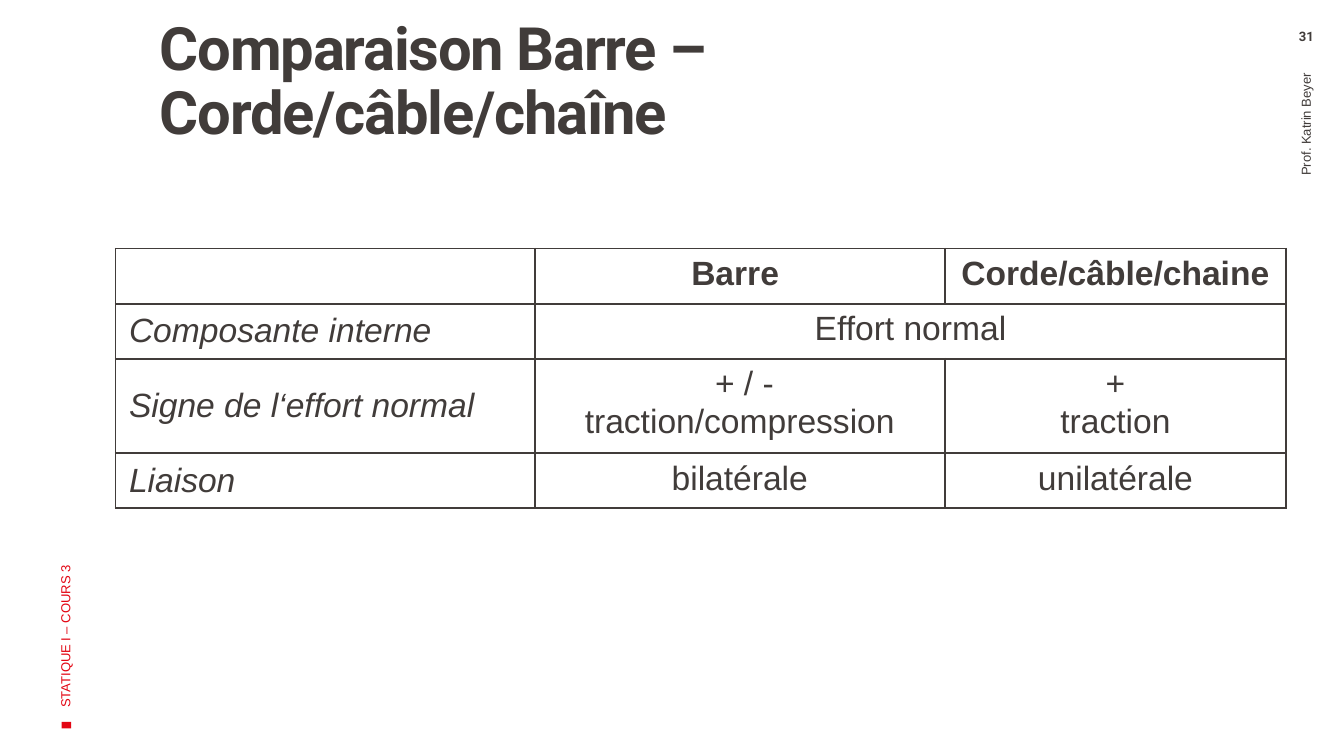
from pptx import Presentation
from pptx.dml.color import RGBColor
from pptx.enum.shapes import MSO_SHAPE
from pptx.enum.text import MSO_ANCHOR, PP_ALIGN
from pptx.oxml import parse_xml
from pptx.oxml.ns import nsdecls
from pptx.util import Inches, Pt

DARK = RGBColor(0x41, 0x3C, 0x3A)
RED = RGBColor(0xE3, 0x06, 0x13)


def format_text(text_frame, font_name, size, color, align, bold=False, italic=False):
    for paragraph in text_frame.paragraphs:
        paragraph.alignment = align
        for run in paragraph.runs:
            run.font.name = font_name
            run.font.size = Pt(size)
            run.font.color.rgb = color
            run.font.bold = bold
            run.font.italic = italic


def add_text(text, position, insets, anchor, rotation=0):
    box = slide.shapes.add_textbox(*[Inches(value) for value in position])
    box.rotation = rotation
    text_frame = box.text_frame
    text_frame.word_wrap = True
    text_frame.vertical_anchor = anchor
    text_frame.margin_left, text_frame.margin_top, text_frame.margin_right, text_frame.margin_bottom = [
        Inches(value) for value in insets
    ]
    text_frame.text = text
    return text_frame


presentation = Presentation()
presentation.slide_width = Inches(10)
presentation.slide_height = Inches(10 * 9 / 16)
slide = presentation.slides.add_slide(presentation.slide_layouts[6])

marker = slide.shapes.add_shape(
    MSO_SHAPE.RECTANGLE, Inches(0.47), Inches(5.36), Inches(0.05), Inches(0.07)
)
marker.rotation = 270
marker.shadow.inherit = False
marker.fill.solid()
marker.fill.fore_color.rgb = RED
marker.line.fill.background()

title = add_text(
    "Comparaison Barre – Corde/câble/chaîne",
    (0.99, 0.14, 7.67, 1.17), (0.2, 0, 0.08, 0.05), MSO_ANCHOR.TOP,
)
format_text(title, "Roboto", 32, DARK, PP_ALIGN.LEFT, bold=True)
title.paragraphs[0].line_spacing = 0.9
title.paragraphs[0].runs[0]._r.get_or_add_rPr().set("spc", "-70")

course = add_text(
    "STATIQUE I – COURS 3", (-1.34, 3.04, 3.65, 1), (0.1, 0.05, 0.1, 0.05), MSO_ANCHOR.MIDDLE, 270
)
format_text(course, "Arial", 7, RED, PP_ALIGN.LEFT)

author = add_text(
    "Prof. Katrin Beyer", (7.78, 2.05, 3.87, 0.56), (0.1, 0.05, 0.15, 0.05), MSO_ANCHOR.MIDDLE, 270
)
format_text(author, "Arial", 7, DARK, PP_ALIGN.RIGHT)

number = add_text("31", (9.44, 0.21, 0.56, 0.18), (0.1, 0, 0.1, 0), MSO_ANCHOR.TOP)
format_text(number, "Roboto", 7, DARK, PP_ALIGN.CENTER, bold=True)

rows = [
    ["", "Barre ", "Corde/câble/chaine"],
    ["Composante interne", "Effort normal", ""],
    ["Signe de l‘effort normal", " + / -\ntraction/compression", "+\ntraction"],
    ["Liaison", "bilatérale", "unilatérale"],
]
column_widths = [3.12, 3.05, 2.54]
row_height = 0.41
table = slide.shapes.add_table(
    len(rows), len(column_widths), Inches(0.86), Inches(1.85),
    Inches(sum(column_widths)), Inches(row_height * len(rows)),
).table
for column, width in zip(table.columns, column_widths):
    column.width = Inches(width)

for row_index, texts in enumerate(rows):
    for column_index, text in enumerate(texts):
        cell = table.cell(row_index, column_index)
        is_label = column_index == 0
        cell.text_frame.text = text
        cell.vertical_anchor = MSO_ANCHOR.MIDDLE if is_label else MSO_ANCHOR.TOP
        format_text(
            cell.text_frame, "Arial", 18, DARK,
            PP_ALIGN.LEFT if is_label else PP_ALIGN.CENTER,
            bold=row_index == 0, italic=is_label,
        )
        properties = cell._tc.get_or_add_tcPr()
        for side in ("lnL", "lnR", "lnT", "lnB"):
            properties.append(parse_xml(
                f'<a:{side} {nsdecls("a")} w="{Pt(1)}"><a:solidFill>'
                f'<a:srgbClr val="{DARK}"/></a:solidFill></a:{side}>'
            ))
        cell.fill.background()
table.cell(1, 1).merge(table.cell(1, 2))

presentation.save("out.pptx")
